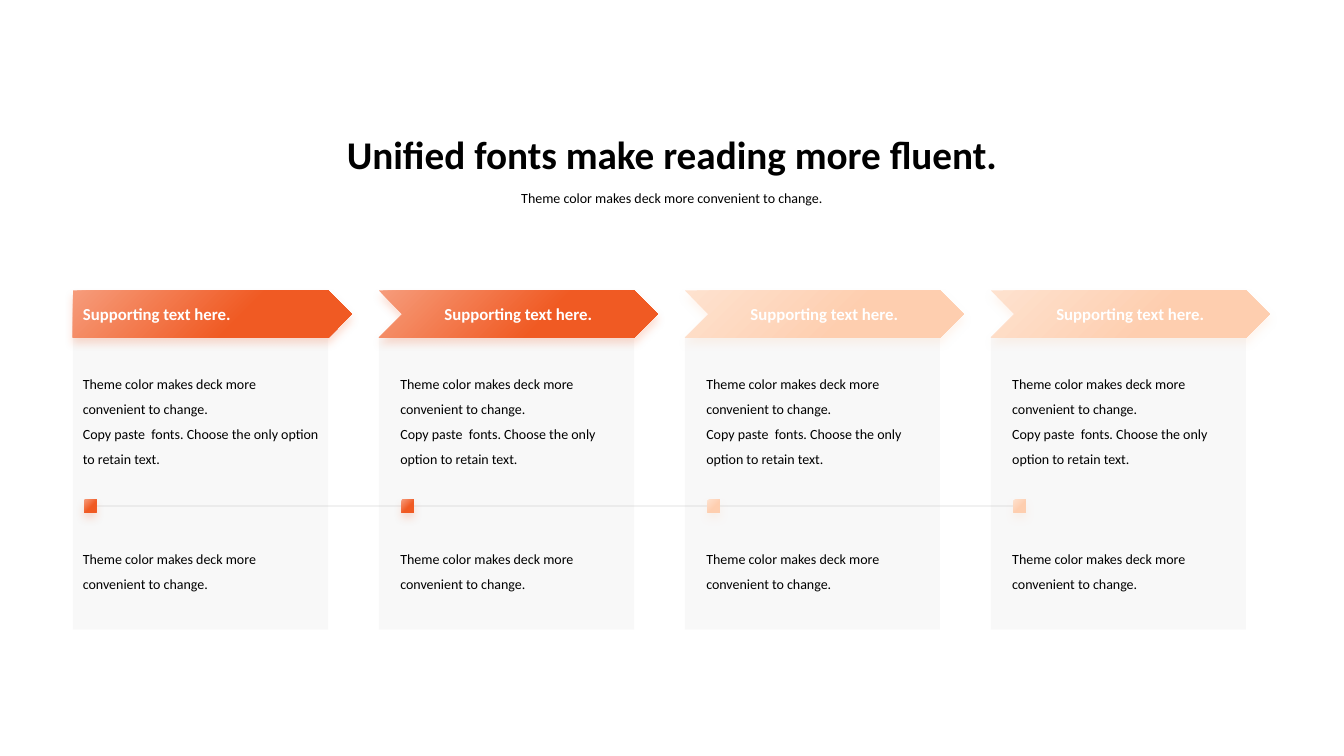
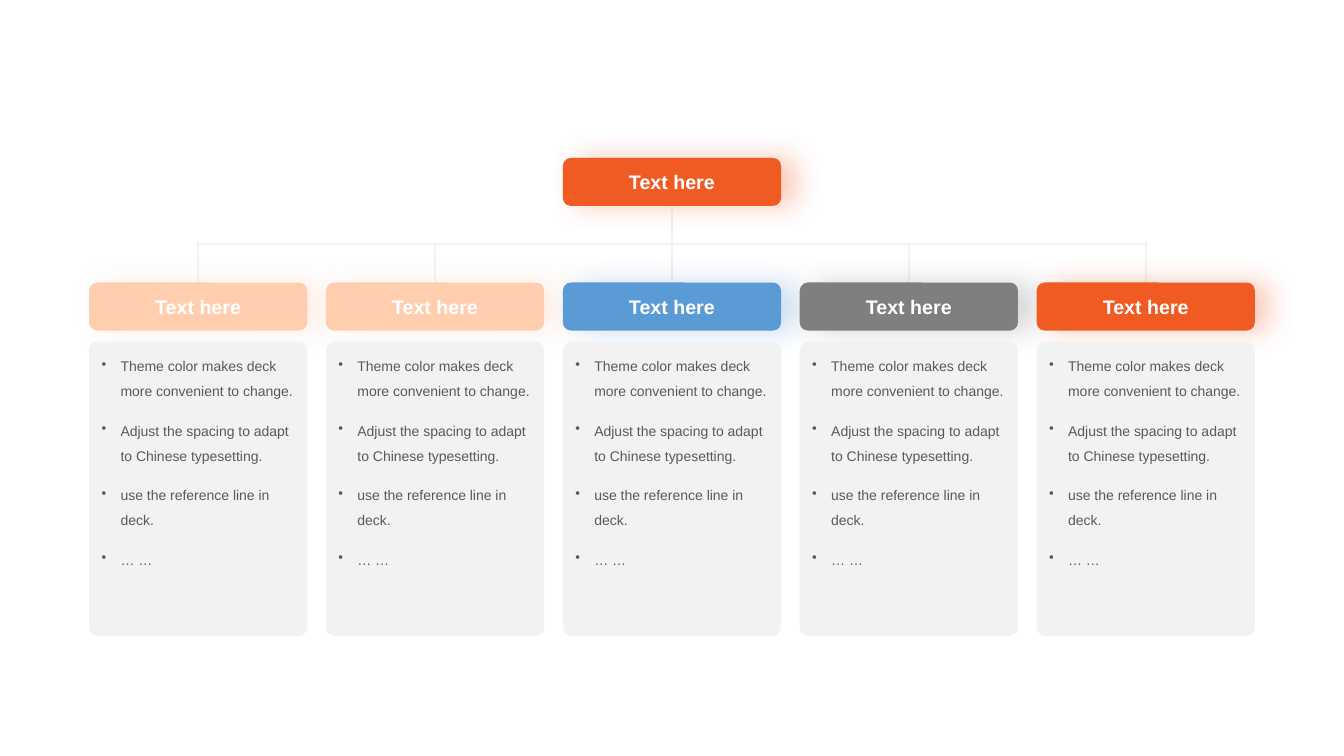
import dataclasses

import lxml.etree
import pptx
import pptx.dml.color
import pptx.enum.shapes
import pptx.enum.text
import pptx.oxml.ns
import pptx.util

Cm = pptx.util.Cm
Pt = pptx.util.Pt
SHAPE = pptx.enum.shapes.MSO_SHAPE
CONNECTOR = pptx.enum.shapes.MSO_CONNECTOR
ALIGN = pptx.enum.text.PP_ALIGN
ANCHOR = pptx.enum.text.MSO_ANCHOR
rgb = pptx.dml.color.RGBColor.from_string
qn = pptx.oxml.ns.qn


@dataclasses.dataclass(frozen=True)
class Theme:
    orange: str = "F05A23"
    orange_light: str = "F69C7B"
    peach: str = "FECEAF"
    peach_light: str = "FEE2CF"
    blue: str = "5B9BD5"
    gray: str = "7F7F7F"
    neutral: str = "808080"
    pale: str = "F2F2F2"
    body: str = "595959"
    black: str = "000000"
    white: str = "FFFFFF"
    process_font: str = "Calibri"
    chart_font: str = "Arial"
    title_size: int = 28
    box_size: int = 14
    arrow_size: int = 12
    body_size: int = 10


theme = Theme()


def put_text(shape, lines, size=theme.body_size, color=theme.black, font=theme.process_font,
             bold=False, align=ALIGN.LEFT, anchor=ANCHOR.TOP, spacing=None, before=0, bullet=None):
    frame = shape.text_frame
    frame.word_wrap = True
    frame.vertical_anchor = anchor
    for index, line in enumerate(lines):
        paragraph = frame.paragraphs[0] if index == 0 else frame.add_paragraph()
        paragraph.alignment = align
        if spacing:
            paragraph.line_spacing = spacing
        if index and before:
            paragraph.space_before = Pt(before)
        if bullet:
            properties = paragraph._p.get_or_add_pPr()
            properties.set("marL", str(Cm(0.48)))
            properties.set("indent", str(-Cm(0.48)))
            lxml.etree.SubElement(properties, qn("a:buChar"), char=bullet)
        run = paragraph.add_run()
        run.text = line
        run.font.name = font
        run.font.size = Pt(size)
        run.font.bold = bold
        run.font.color.rgb = rgb(color)


def add_block(slide, kind, left, top, width, height, color, light=None, alpha=None, shadow=None):
    """Lengths in cm; light starts a gradient; shadow is (opacity %, blur pt, distance pt, degrees)."""
    shape = slide.shapes.add_shape(kind, Cm(left), Cm(top), Cm(width), Cm(height))
    shape.shadow.inherit = False
    shape.line.fill.background()
    if light:
        shape.fill.gradient()
        shape.fill.gradient_angle = 315
        for stop, position, stop_color in zip(shape.fill.gradient_stops, (0, 0.6), (light, color)):
            stop.position = position
            stop.color.rgb = rgb(stop_color)
    else:
        shape.fill.solid()
        shape.fill.fore_color.rgb = rgb(color)
    properties = shape._element.spPr
    if alpha:
        fill_color = properties.find(qn("a:solidFill")).find(qn("a:srgbClr"))
        lxml.etree.SubElement(fill_color, qn("a:alpha"), val=str(alpha * 1000))
    if shadow:
        opacity, blur, distance, angle = shadow
        outer = lxml.etree.SubElement(
            properties.find(qn("a:effectLst")), qn("a:outerShdw"), blurRad=str(Pt(blur)),
            dist=str(Pt(distance)), dir=str(angle * 60000), rotWithShape="0")
        shadow_color = lxml.etree.SubElement(outer, qn("a:srgbClr"), val=color)
        lxml.etree.SubElement(shadow_color, qn("a:alpha"), val=str(opacity * 1000))
    return shape


presentation = pptx.Presentation()
presentation.slide_width = Cm(33.87)
presentation.slide_height = Cm(19.05)
blank = presentation.slide_layouts[6]

# Slide 1: four-step process
slide = presentation.slides.add_slide(blank)
step_left, step_pitch, panel_width = 1.84, 7.71, 6.43
line_y, marker_size = 12.75, 0.31
arrow_shadow = (20, 6, 4, 90)
lefts = [step_left + index * step_pitch for index in range(4)]
text_lefts = [left + (0.29 if index else 0) for index, left in enumerate(lefts)]
marker_lefts = [left + 0.28 for left in text_lefts]
step_colors = [(theme.orange, theme.orange_light)] * 2 + [(theme.peach, theme.peach_light)] * 2
short_text = ["Theme color makes deck more", "convenient to change."]
long_text = short_text + ["Copy paste  fonts. Choose the only option to retain text."]

# Heading
for top, height, line, size, bold, anchor in (
        (3.15, 1.45, "Unified fonts make reading more fluent.", theme.title_size, True, ANCHOR.MIDDLE),
        (4.65, 0.69, "Theme color makes deck more convenient to change.", theme.body_size, False, ANCHOR.TOP)):
    box = slide.shapes.add_textbox(Cm(step_left), Cm(top), Cm(30.18), Cm(height))
    put_text(box, [line], size=size, bold=bold, align=ALIGN.CENTER, anchor=anchor)

# Panels and the line that links the markers
for left in lefts:
    add_block(slide, SHAPE.RECTANGLE, left, 8.48, panel_width, 7.39, theme.neutral, alpha=5)
timeline = slide.shapes.add_connector(
    CONNECTOR.STRAIGHT, Cm(marker_lefts[0]), Cm(line_y), Cm(marker_lefts[-1]), Cm(line_y))
timeline.line.width = Pt(0.5)
timeline.line.color.rgb = rgb(theme.neutral)
line_color = timeline._element.spPr.find(qn("a:ln")).find(".//" + qn("a:srgbClr"))
lxml.etree.SubElement(line_color, qn("a:alpha"), val="30000")
lxml.etree.SubElement(timeline._element.spPr, qn("a:effectLst"))

# Arrows, texts and markers
for index, (left, text_left, marker_left) in enumerate(zip(lefts, text_lefts, marker_lefts)):
    color, light = step_colors[index]
    arrow = add_block(slide, SHAPE.CHEVRON if index else SHAPE.PENTAGON, left, 7.32, 7.03, 1.19,
                      color, light=light, shadow=arrow_shadow)
    put_text(arrow, ["Supporting text here."], size=theme.arrow_size, color=theme.white, bold=True,
             align=ALIGN.CENTER if index else ALIGN.LEFT, anchor=ANCHOR.MIDDLE)
    for top, height, lines in ((9.12, 2.74, long_text), (13.54, 1.47, short_text)):
        box = slide.shapes.add_textbox(
            Cm(text_left), Cm(top), Cm(left + panel_width + 0.02 - text_left), Cm(height))
        put_text(box, lines, spacing=1.5)
    add_block(slide, SHAPE.RECTANGLE, marker_left, line_y - marker_size / 2, marker_size, marker_size,
              color, light=light, shadow=arrow_shadow)

# Slide 2: organization chart
slide = presentation.slides.add_slide(blank)
box_width, box_height, box_gap = 5.5, 1.21, 0.47
root_top, child_top = 3.98, 7.12
box_shadow = (32, 20, 10, 0)
child_colors = [theme.peach, theme.peach, theme.blue, theme.gray, theme.orange]
bullets = [
    "Theme color makes deck more convenient to change.",
    "Adjust the spacing to adapt to Chinese typesetting.",
    "use the reference line in deck.",
    "… …",
]
center = 33.87 / 2
child_pitch = box_width + box_gap
child_centers = [center + (index - 2) * child_pitch for index in range(5)]

# Elbow connectors, turned so that they leave the root downwards
root_bottom = root_top + box_height
drop = child_top - root_bottom
middle_y = (root_bottom + child_top) / 2
for child_center in child_centers:
    middle_x = (center + child_center) / 2
    span = abs(child_center - center)
    to_right = child_center > center + 0.01
    half = -drop / 2 if to_right else drop / 2
    elbow = slide.shapes.add_connector(
        CONNECTOR.ELBOW, Cm(middle_x - half), Cm(middle_y - span / 2),
        Cm(middle_x + half), Cm(middle_y + span / 2))
    elbow._element.spPr.find(qn("a:xfrm")).set("rot", str((270 if to_right else 90) * 60000))
    elbow.line.width = Pt(1.5)
    elbow.line.color.rgb = rgb(theme.pale)
    lxml.etree.SubElement(elbow._element.spPr, qn("a:effectLst"))

# Root and child boxes
boxes = [(center, root_top, theme.orange)]
boxes += [(child_center, child_top, color) for child_center, color in zip(child_centers, child_colors)]
for box_center, top, color in boxes:
    box = add_block(slide, SHAPE.ROUNDED_RECTANGLE, box_center - box_width / 2, top, box_width,
                    box_height, color, shadow=box_shadow)
    put_text(box, ["Text here"], size=theme.box_size, color=theme.white, font=theme.chart_font,
             bold=True, align=ALIGN.CENTER, anchor=ANCHOR.MIDDLE)

# Bullet panels
for child_center in child_centers:
    panel = add_block(slide, SHAPE.ROUNDED_RECTANGLE, child_center - box_width / 2, 8.61,
                      box_width, 7.42, theme.pale)
    panel.adjustments[0] = 0.04
    put_text(panel, bullets, color=theme.body, font=theme.chart_font,
             spacing=1.5, before=10, bullet="•")

presentation.save("out.pptx")
